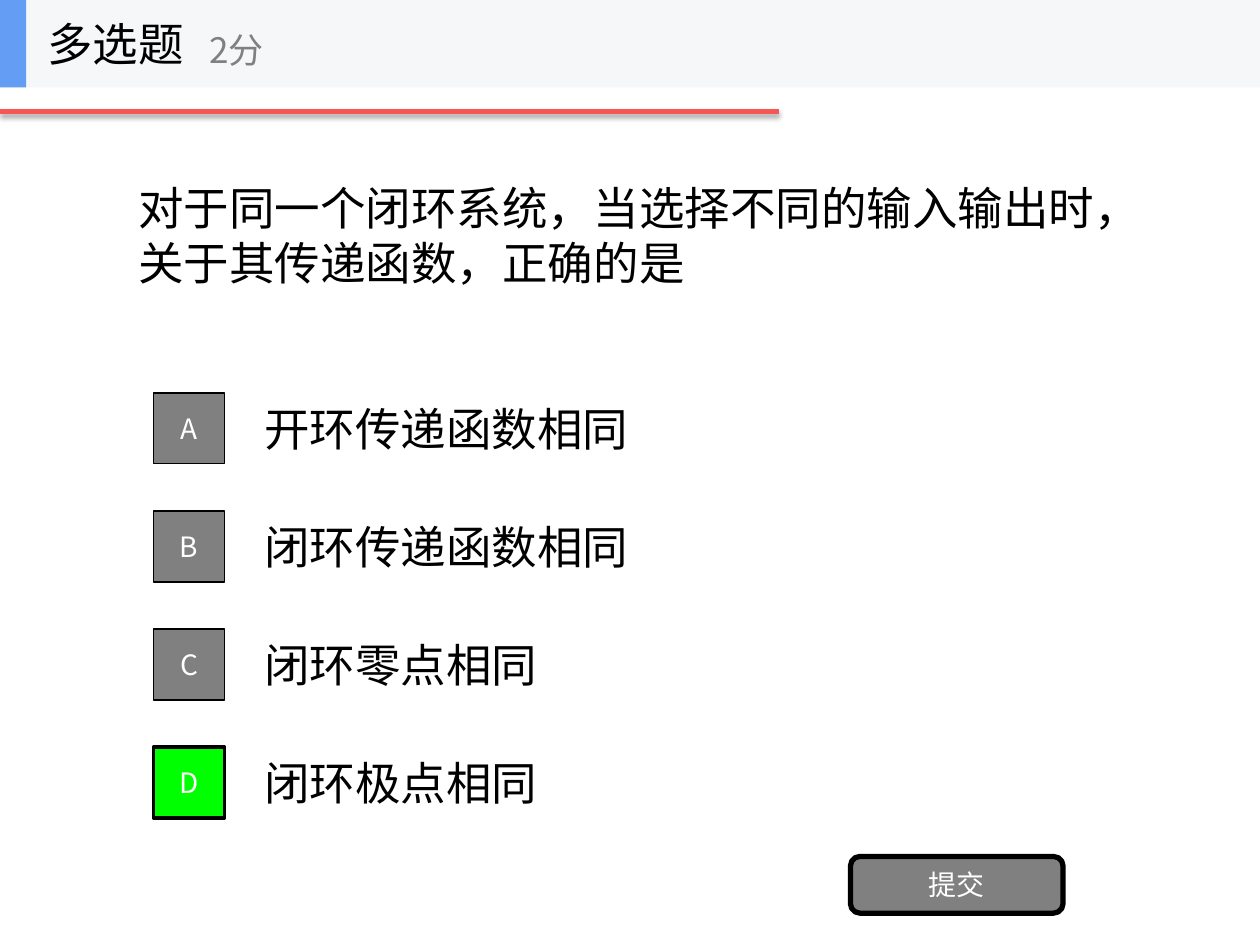
from lxml import etree
from pptx import Presentation
from pptx.dml.color import RGBColor
from pptx.enum.shapes import MSO_CONNECTOR, MSO_SHAPE
from pptx.enum.text import MSO_ANCHOR, PP_ALIGN
from pptx.oxml.ns import qn
from pptx.util import Pt

RECT, ROUNDED = MSO_SHAPE.RECTANGLE, MSO_SHAPE.ROUNDED_RECTANGLE
LEFT, CENTER = PP_ALIGN.LEFT, PP_ALIGN.CENTER
FONT = "Noto Sans CJK SC"
COLORS = {
    "black": "000000", "white": "FFFFFF", "gray": "808080", "green": "00FF00",
    "band": "F6F7F8", "blue": "639EF4", "red": "F85555",
}


def color(name):
    return RGBColor.from_string(COLORS[name])


def add_box(shapes, place, text="", size=16, ink="black", kind=None,
            fill=None, border=0, wrap=True):
    """Add a text box, or a filled preset shape when kind is given."""
    place = [Pt(length) for length in place]
    if kind is None:
        box = shapes.add_textbox(*place)
    else:
        box = shapes.add_shape(kind, *place)
        box.shadow.inherit = False
        box.fill.solid()
        box.fill.fore_color.rgb = color(fill)
        if border:
            box.line.color.rgb = color("black")
            box.line.width = Pt(border)
        else:
            box.line.fill.background()
    if text:
        frame = box.text_frame
        frame.word_wrap = wrap
        frame.vertical_anchor = MSO_ANCHOR.MIDDLE
        para = frame.paragraphs[0]
        para.alignment = LEFT if kind is None else CENTER
        span = para.add_run()
        span.text = text
        span.font.size = Pt(size)
        span.font.name = FONT
        span.font.color.rgb = color(ink)
        etree.SubElement(span.font._element, qn("a:ea"), typeface=FONT)


deck = Presentation()
deck.slide_width, deck.slide_height = Pt(720), Pt(540)
page = deck.slides.add_slide(deck.slide_layouts[6])

# Red rule with a soft shadow below the header
rule = page.shapes.add_connector(MSO_CONNECTOR.STRAIGHT, Pt(0), Pt(63.8), Pt(445), Pt(63.8))
rule.line.color.rgb = color("red")
rule.line.width = Pt(3)
effects = etree.SubElement(rule._element.spPr, qn("a:effectLst"))
shadow = etree.SubElement(effects, qn("a:outerShdw"), blurRad=str(Pt(3.1)),
                          dist=str(Pt(1.8)), dir="5400000", rotWithShape="0")
shade = etree.SubElement(shadow, qn("a:srgbClr"), val=COLORS["black"])
etree.SubElement(shade, qn("a:alpha"), val="35000")

# Question
add_box(page.shapes, (72, 50, 576, 168.5),
        "对于同一个闭环系统，当选择不同的输入输出时，关于其传递函数，正确的是", 26)

# Answers: a lettered square and its text; the right one is green
answers = ["开环传递函数相同", "闭环传递函数相同", "闭环零点相同", "闭环极点相同"]
correct = "D"
for row, (letter, answer) in enumerate(zip("ABCD", answers)):
    top = 219.4 + 67.5 * row
    add_box(page.shapes, (144, top, 504, 50.6), answer, 26)
    fill, border = ("green", 2) if letter == correct else ("gray", 1)
    add_box(page.shapes, (87.75, top + 5, 40.5, 40.5), letter, 16, "white",
            RECT, fill, border)

# Submit button
add_box(page.shapes, (486, 489.4, 121.5, 32.4), "提交", 16, "white", ROUNDED, "gray", 3)

# Header band with question type and score
header = page.shapes.add_group_shape()
add_box(header.shapes, (0, 0, 720, 50), kind=RECT, fill="band")
add_box(header.shapes, (0, 0, 15, 50), kind=RECT, fill="blue")
add_box(header.shapes, (20, 0, 150, 50), "多选题", 26, wrap=False)
add_box(header.shapes, (112.5, 8.5, 180, 40), "2分", 20, "gray", wrap=False)

deck.save("out.pptx")
